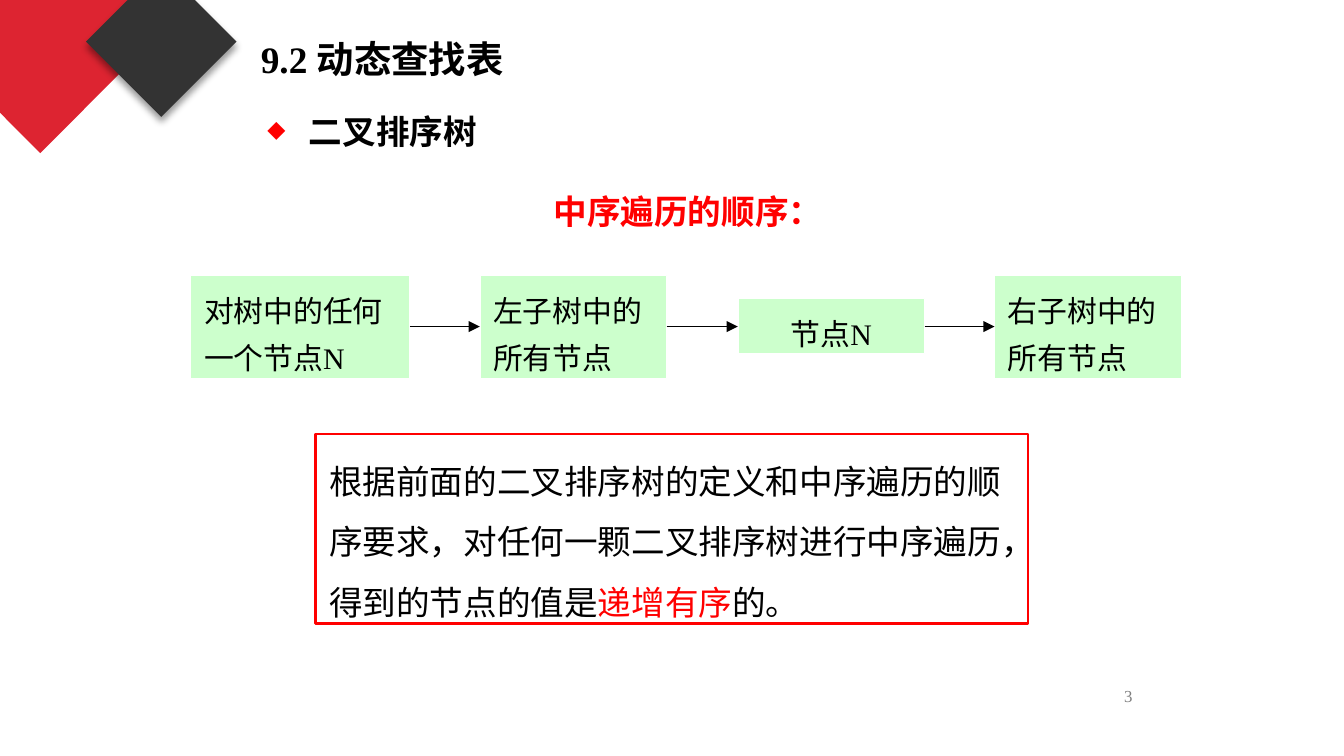
from dataclasses import dataclass
from typing import Optional

from lxml import etree
from pptx import Presentation
from pptx.dml.color import RGBColor
from pptx.enum.shapes import MSO_CONNECTOR, MSO_SHAPE
from pptx.enum.text import MSO_ANCHOR, MSO_AUTO_SIZE, PP_ALIGN
from pptx.oxml import parse_xml
from pptx.oxml.ns import nsdecls, qn
from pptx.util import Inches, Pt

LEFT, CENTER = PP_ALIGN.LEFT, PP_ALIGN.CENTER
TOP, MIDDLE = MSO_ANCHOR.TOP, MSO_ANCHOR.MIDDLE
GROW, FIXED = MSO_AUTO_SIZE.SHAPE_TO_FIT_TEXT, MSO_AUTO_SIZE.NONE
RECTANGLE, DIAMOND = MSO_SHAPE.RECTANGLE, MSO_SHAPE.DIAMOND
STRAIGHT = MSO_CONNECTOR.STRAIGHT

FONT = "Times New Roman"
BLACK = RGBColor(0x00, 0x00, 0x00)
WHITE = RGBColor(0xFF, 0xFF, 0xFF)
RED = RGBColor(0xFF, 0x00, 0x00)
GRAY = RGBColor(0x80, 0x80, 0x80)
CRIMSON = RGBColor(0xDD, 0x24, 0x31)
CHARCOAL = RGBColor(0x33, 0x33, 0x33)
PALE_GREEN = RGBColor(0xCC, 0xFF, 0xCC)

SLIDE_WIDTH = Inches(10)
SLIDE_HEIGHT = SLIDE_WIDTH * 9 // 16
FLOW_MIDDLE = 2.43


@dataclass(frozen=True)
class Box:
    left: float
    top: float
    width: float
    height: float

    def lengths(self) -> tuple:
        return tuple(Inches(n) for n in (self.left, self.top, self.width, self.height))


@dataclass(frozen=True)
class Run:
    text: str
    color: RGBColor = BLACK


@dataclass(frozen=True)
class TextStyle:
    size: float
    bold: bool = False
    alignment: PP_ALIGN = LEFT
    line_spacing: float = 1.0
    anchor: MSO_ANCHOR = TOP
    auto_size: MSO_AUTO_SIZE = GROW


@dataclass(frozen=True)
class Step:
    text: str
    box: Box
    alignment: PP_ALIGN = LEFT


STEPS = (
    Step("对树中的任何一个节点N", Box(1.42, 2.05, 1.63, 0.77)),
    Step("左子树中的所有节点", Box(3.57, 2.05, 1.39, 0.77)),
    Step("节点N", Box(5.49, 2.22, 1.39, 0.41), CENTER),
    Step("右子树中的所有节点", Box(7.4, 2.05, 1.39, 0.77)),
)


def set_all(target, values: dict) -> None:
    for name, value in values.items():
        setattr(target, name, value)


def write_text(shape, runs: tuple[Run, ...], style: TextStyle):
    """Fill a shape with one formatted paragraph and return the paragraph."""
    frame = shape.text_frame
    set_all(frame, {"word_wrap": True, "auto_size": style.auto_size,
                    "vertical_anchor": style.anchor})
    paragraph = frame.paragraphs[0]
    set_all(paragraph, {"alignment": style.alignment,
                        "line_spacing": style.line_spacing})
    for part in runs:
        run = paragraph.add_run()
        run.text = part.text
        set_all(run.font, {"name": FONT, "size": Pt(style.size), "bold": style.bold})
        run.font.color.rgb = part.color
    return paragraph


def add_shape(slide, kind: MSO_SHAPE, box: Box, fill: Optional[RGBColor] = None,
              line: Optional[RGBColor] = None, line_width: float = 0.75):
    shape = slide.shapes.add_shape(kind, *box.lengths())
    shape.shadow.inherit = False
    if fill is None:
        shape.fill.background()
    else:
        shape.fill.solid()
        shape.fill.fore_color.rgb = fill
    if line is None:
        shape.line.fill.background()
    else:
        shape.line.color.rgb = line
        shape.line.width = Pt(line_width)
    return shape


def add_text(slide, box: Box, run: Run, style: TextStyle):
    return write_text(slide.shapes.add_textbox(*box.lengths()), (run,), style)


def add_arrow(slide, start: float, end: float) -> None:
    middle = Inches(FLOW_MIDDLE)
    arrow = slide.shapes.add_connector(STRAIGHT, Inches(start), middle, Inches(end), middle)
    arrow.line.color.rgb = BLACK
    arrow.line.width = Pt(0.5)
    etree.SubElement(arrow.line._get_or_add_ln(), qn("a:tailEnd"), type="triangle")
    etree.SubElement(arrow._element.spPr, qn("a:effectLst"))


def add_soft_shadow(shape) -> None:
    effects = shape._element.spPr.find(qn("a:effectLst"))
    effects.append(parse_xml(
        f'<a:outerShdw {nsdecls("a")} blurRad="{Pt(4)}" dist="{Pt(3)}" dir="5400000"'
        ' algn="t" rotWithShape="0"><a:srgbClr val="000000">'
        '<a:alpha val="40000"/></a:srgbClr></a:outerShdw>'))


def add_diamond_bullet(paragraph, indent: float) -> None:
    properties = paragraph._p.get_or_add_pPr()
    properties.set("marL", str(Inches(indent)))
    properties.set("indent", str(-Inches(indent)))
    color = etree.SubElement(properties, qn("a:buClr"))
    etree.SubElement(color, qn("a:srgbClr"), val=str(RED))
    etree.SubElement(properties, qn("a:buSzPct"), val="70000")
    etree.SubElement(properties, qn("a:buChar"), char="◆")


def main() -> None:
    presentation = Presentation()
    set_all(presentation, {"slide_width": SLIDE_WIDTH, "slide_height": SLIDE_HEIGHT})
    slide = presentation.slides.add_slide(presentation.slide_layouts[5])

    # Corner decoration
    add_shape(slide, DIAMOND, Box(-0.59, -0.65, 1.78, 1.79), CRIMSON)
    add_soft_shadow(add_shape(slide, DIAMOND, Box(0.64, -0.25, 1.12, 1.12), CHARCOAL))

    # Title and topic
    title = slide.shapes.title
    title_box = Box(1.84, 0.22, 2.99, 0.44).lengths()
    set_all(title, dict(zip(("left", "top", "width", "height"), title_box)))
    write_text(title, (Run("9.2 动态查找表"),), TextStyle(20, bold=True))
    topic = add_text(slide, Box(1.89, 0.69, 3.11, 0.46), Run("二叉排序树"),
                     TextStyle(18, bold=True, line_spacing=1.3))
    add_diamond_bullet(topic, 0.31)

    # Traversal order: heading, steps and the arrows between them
    heading = add_shape(slide, RECTANGLE, Box(4.02, 1.37, 2.18, 0.4), line=WHITE)
    write_text(heading, (Run("中序遍历的顺序：", RED),), TextStyle(18, bold=True))
    for step in STEPS:
        shape = add_shape(slide, RECTANGLE, step.box, PALE_GREEN, WHITE)
        write_text(shape, (Run(step.text),),
                   TextStyle(16, alignment=step.alignment, line_spacing=1.3))
    for step, following in zip(STEPS, STEPS[1:]):
        add_arrow(slide, step.box.left + step.box.width, following.box.left)

    # Conclusion
    conclusion = add_shape(slide, RECTANGLE, Box(2.35, 3.23, 5.3, 1.41),
                           line=RED, line_width=1.5)
    write_text(conclusion, (
        Run("根据前面的二叉排序树的定义和中序遍历的顺序要求，"
            "对任何一颗二叉排序树进行中序遍历，得到的节点的值是"),
        Run("递增有序", RED),
        Run("的。"),
    ), TextStyle(18, line_spacing=1.5))

    # Slide number
    add_text(slide, Box(7.23, 5.03, 2.33, 0.3), Run("3", GRAY),
             TextStyle(9, alignment=CENTER, anchor=MIDDLE, auto_size=FIXED))

    presentation.save("out.pptx")


if __name__ == "__main__":
    main()
